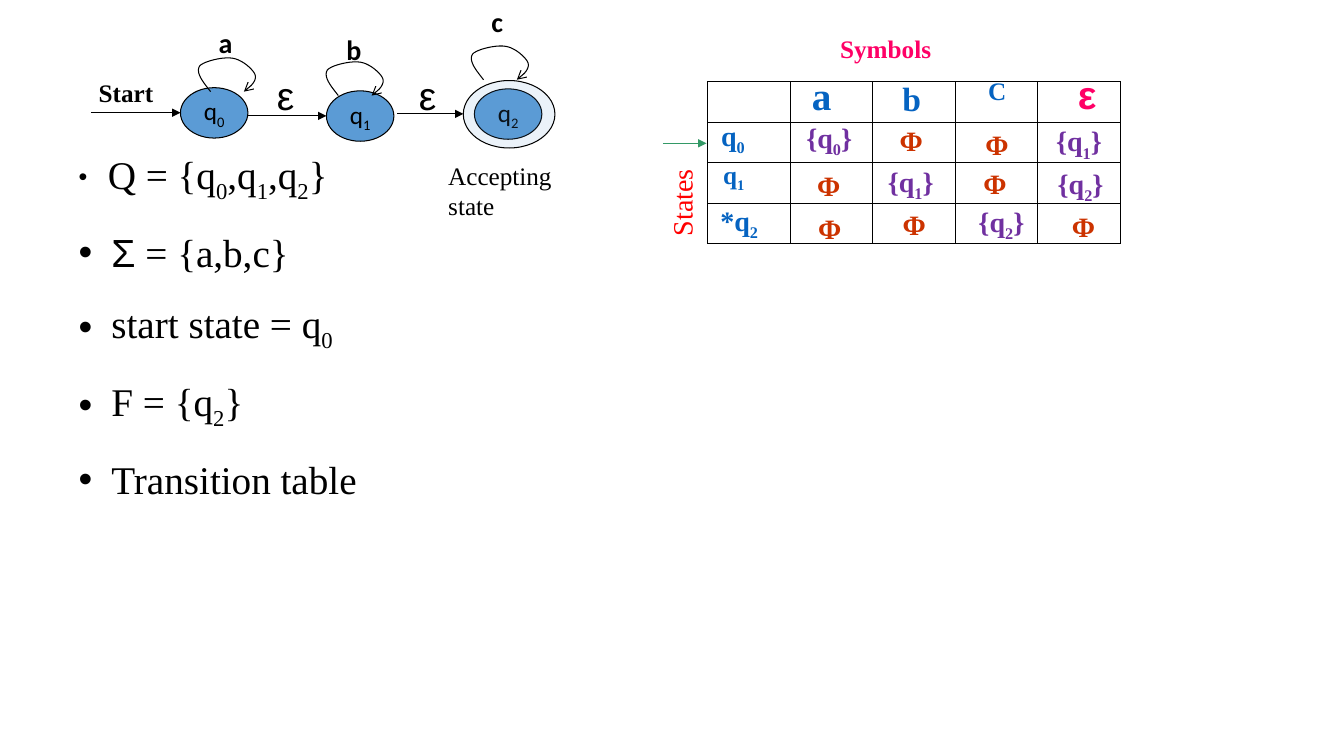
import pptx
import pptx.dml.color
import pptx.enum.shapes
import pptx.enum.text
import pptx.oxml
import pptx.oxml.ns
import pptx.util

Cm = pptx.util.Cm
Pt = pptx.util.Pt
SERIF, SANS, SYMBOL = "Times New Roman", "Calibri", "Arial"
BLACK, BLUE, GREEN = "000000", "5B9BD5", "339966"
HEADER, PINK, RED = "0563C1", "FF0066", "FF0000"
PURPLE, ORANGE = "7030A0", "CC3300"

STATE_SIZE = (1.7, 1.27)
STATES = [("q_0", 4.55, 2.21), ("q_1", 8.23, 2.29), ("q_2", 11.96, 2.24)]
ACCEPTING_RING = (11.68, 2.03, 2.31, 1.7)
ARROWS = [
    (2.29, 4.55, 2.84, BLACK),
    (6.25, 8.23, 2.92, BLACK),
    (10.01, 11.68, 2.87, BLACK),
    (16.71, 17.81, 3.61, GREEN),
]
LOOPS = [(4.93, 1.42), (8.15, 1.52), (11.81, 1.12)]
LOOP_START = (0.38, 0.89)
LOOP_CURVES = [
    ((0.18, 0.64), (0, 0.41), (0.1, 0.25)),
    ((0.18, 0.13), (0.71, 0), (0.94, 0.05)),
    ((1.17, 0.08), (1.45, 0.33), (1.5, 0.46)),
    ((1.55, 0.61), (1.4, 0.76), (1.22, 0.89)),
]
CURVE_STEPS = 10

LABELS = [
    ("Start", (2.24, 1.83, 2.1, 1.02), 18, SERIF, BLACK, True),
    ("a", (5.26, 0.51, 0.86, 1.12), 20, SANS, BLACK, True),
    ("b", (8.48, 0.69, 0.89, 1.12), 20, SANS, BLACK, True),
    ("c", (12.14, 0, 0.79, 1.12), 20, SANS, BLACK, True),
    ("ε", (6.73, 1.68, 0.94, 1.45), 28, SYMBOL, BLACK, False),
    ("ε", (10.31, 1.68, 0.94, 1.45), 28, SYMBOL, BLACK, False),
    ("Accepting\nstate", (11.05, 3.91, 3.4, 1.78), 18, SERIF, BLACK, False),
    ("Symbols", (20.93, 0.71, 4.01, 1.02), 18, SERIF, PINK, True),
    ("a", (20.22, 1.68, 1.02, 1.22), 28, SERIF, HEADER, True),
    ("b", (22.5, 1.83, 1.3, 1.17), 24, SERIF, HEADER, True),
    ("C", (24.66, 1.78, 1.07, 1.17), 18, SERIF, HEADER, True),
    ("ε", (26.92, 1.65, 0.94, 1.45), 28, SYMBOL, PINK, True),
    ("q_0", (17.93, 2.87, 2.06, 1.12), 20, SERIF, HEADER, True),
    ("q_1", (17.98, 3.89, 1.83, 1.14), 18, SERIF, HEADER, True),
    ("*q_2", (17.91, 5, 2.49, 1.09), 20, SERIF, HEADER, True),
]
SIDE_LABEL = ("States", (15.94, 4.39, 2.5, 1.12), 20, SERIF, RED, False)
TRANSITIONS = [
    ("{q_0}", 19.89, 2.92, 2.03),
    ("Φ", 22.1, 3, 1.75),
    ("Φ", 24.26, 3.1, 1.75),
    ("{q_1}", 26.26, 3, 1.88),
    ("Φ", 20.17, 4.11, 1.45),
    ("{q_1}", 21.69, 4.01, 2.54),
    ("Φ", 24.21, 4.06, 1.75),
    ("{q_2}", 26.01, 4.06, 2.46),
    ("Φ", 20.19, 5.21, 1.45),
    ("Φ", 22.17, 5.11, 1.75),
    ("{q_2}", 24.23, 5.03, 2.03),
    ("Φ", 26.59, 5.16, 1.45),
]
GRID_LEFT, GRID_TOP, COLUMN, ROW = 17.83, 2.06, 2.08, 1.02
ROWS, COLUMNS = 4, 5

DEFINITION_BOX = (1.73, 3.66, 11.63, 9.14)
DEFINITION = [
    ("Q = {q_0,q_1,q_2}", 0.74, 64),
    ("Σ = {a,b,c}", 0.83, 100),
    ("start state = q_0", 0.83, 100),
    ("F = {q_2}", 0.83, 100),
    ("Transition table", 0.83, 100),
]


def rgb(value):
    return pptx.dml.color.RGBColor.from_string(value)


def element(tag, content="", **attributes):
    settings = "".join(f' {name}="{value}"' for name, value in attributes.items())
    namespace = pptx.oxml.ns.nsdecls("a")
    return pptx.oxml.parse_xml(f"<a:{tag} {namespace}{settings}>{content}</a:{tag}>")


def add_runs(paragraph, text, size, font, color, bold=False):
    first, *rest = text.split("_")
    pieces = [(first, False)]
    for part in rest:
        pieces += [(part[0], True), (part[1:], False)]
    if first.startswith("Σ"):
        pieces = [("Σ", False), (first[1:], False)]
    for piece, subscript in pieces:
        if not piece:
            continue
        run = paragraph.add_run()
        run.text = piece
        run.font.size = Pt(size)
        run.font.name = SYMBOL if piece == "Σ" else font
        run.font.bold = bold
        run.font.color.rgb = rgb(color)
        if subscript:
            run.font._element.set("baseline", "-25000")


def add_label(slide, text, box, size, font, color, bold, centred=False):
    shape = slide.shapes.add_textbox(*map(Cm, box))
    frame = shape.text_frame
    frame.word_wrap = True
    for index, line in enumerate(text.split("\n")):
        paragraph = frame.add_paragraph() if index else frame.paragraphs[0]
        if centred:
            paragraph.alignment = pptx.enum.text.PP_ALIGN.CENTER
        add_runs(paragraph, line, size, font, color, bold)
    return shape


def outline(shape, color, arrowhead=None):
    shape.line.color.rgb = rgb(color)
    shape.line.width = Pt(0.75)
    if arrowhead:
        shape.line._get_or_add_ln().append(element("tailEnd", type=arrowhead))


def add_ellipse(slide, box):
    shape = slide.shapes.add_shape(pptx.enum.shapes.MSO_SHAPE.OVAL, *map(Cm, box))
    shape.shadow.inherit = False
    shape.fill.solid()
    shape.fill.fore_color.rgb = rgb(BLUE)
    outline(shape, BLACK)
    return shape


def add_loop(slide, left, top):
    points, start = [], LOOP_START
    for curve in LOOP_CURVES:
        for step in range(1, CURVE_STEPS + 1):
            t = step / CURVE_STEPS
            weights = ((1 - t) ** 3, 3 * t * (1 - t) ** 2, 3 * t * t * (1 - t), t ** 3)
            x, y = (sum(w * p[axis] for w, p in zip(weights, (start, *curve)))
                    for axis in (0, 1))
            points.append((Cm(left + x), Cm(top + y)))
        start = curve[-1]
    builder = slide.shapes.build_freeform(Cm(left + LOOP_START[0]), Cm(top + LOOP_START[1]))
    builder.add_line_segments(points, close=False)
    shape = builder.convert_to_shape()
    shape.shadow.inherit = False
    shape.fill.background()
    outline(shape, BLACK, "arrow")


def add_grid(slide):
    table = slide.shapes.add_table(ROWS, COLUMNS, Cm(GRID_LEFT), Cm(GRID_TOP),
                                   Cm(COLUMN * COLUMNS), Cm(ROW * ROWS)).table
    table.first_row = table.horz_banding = False
    for cell in table.iter_cells():
        cell.margin_top = cell.margin_bottom = Cm(0)
        properties = cell._tc.get_or_add_tcPr()
        for side in "LRTB":
            color = f'<a:solidFill><a:srgbClr val="{BLACK}"/></a:solidFill>'
            properties.append(element(f"ln{side}", color, w=Pt(0.45)))
        cell.fill.background()


def add_definition(slide):
    frame = slide.shapes.add_textbox(*map(Cm, DEFINITION_BOX)).text_frame
    frame.word_wrap = True
    for index, (text, indent, bullet_size) in enumerate(DEFINITION):
        paragraph = frame.add_paragraph() if index else frame.paragraphs[0]
        properties = paragraph._p.get_or_add_pPr()
        properties.set("marL", str(Cm(indent)))
        properties.set("indent", str(-Cm(indent)))
        properties.append(element("buSzPct", val=bullet_size * 1000))
        properties.append(element("buFont", typeface=SYMBOL))
        properties.append(element("buChar", char="•"))
        if index:
            paragraph.space_before = Pt(17.5)
        add_runs(paragraph, text, 28, SERIF, BLACK)


def main():
    presentation = pptx.Presentation()
    presentation.slide_width, presentation.slide_height = Cm(33.88), Cm(19.05)
    slide = presentation.slides.add_slide(presentation.slide_layouts[6])

    for name, left, top in STATES:
        frame = add_ellipse(slide, (left, top, *STATE_SIZE)).text_frame
        frame.word_wrap = False
        frame.vertical_anchor = pptx.enum.text.MSO_ANCHOR.MIDDLE
        frame.paragraphs[0].alignment = pptx.enum.text.PP_ALIGN.CENTER
        add_runs(frame.paragraphs[0], name, 18, SANS, BLACK)
    ring = add_ellipse(slide, ACCEPTING_RING)
    ring_color = ring._element.spPr.find(".//" + pptx.oxml.ns.qn("a:srgbClr"))
    ring_color.append(element("alpha", val=12000))

    for start, end, y, color in ARROWS:
        arrow = slide.shapes.add_connector(pptx.enum.shapes.MSO_CONNECTOR.STRAIGHT,
                                           Cm(start), Cm(y), Cm(end), Cm(y))
        outline(arrow, color, "triangle")
        arrow._element.spPr.append(element("effectLst"))
    for left, top in LOOPS:
        add_loop(slide, left, top)

    add_grid(slide)
    add_definition(slide)
    for label in LABELS:
        add_label(slide, *label)
    add_label(slide, *SIDE_LABEL).rotation = 270
    for text, left, top, width in TRANSITIONS:
        add_label(slide, text, (left, top, width, 1), 20, SERIF,
                  ORANGE if text == "Φ" else PURPLE, True, centred=True)
    presentation.save("out.pptx")


if __name__ == "__main__":
    main()
